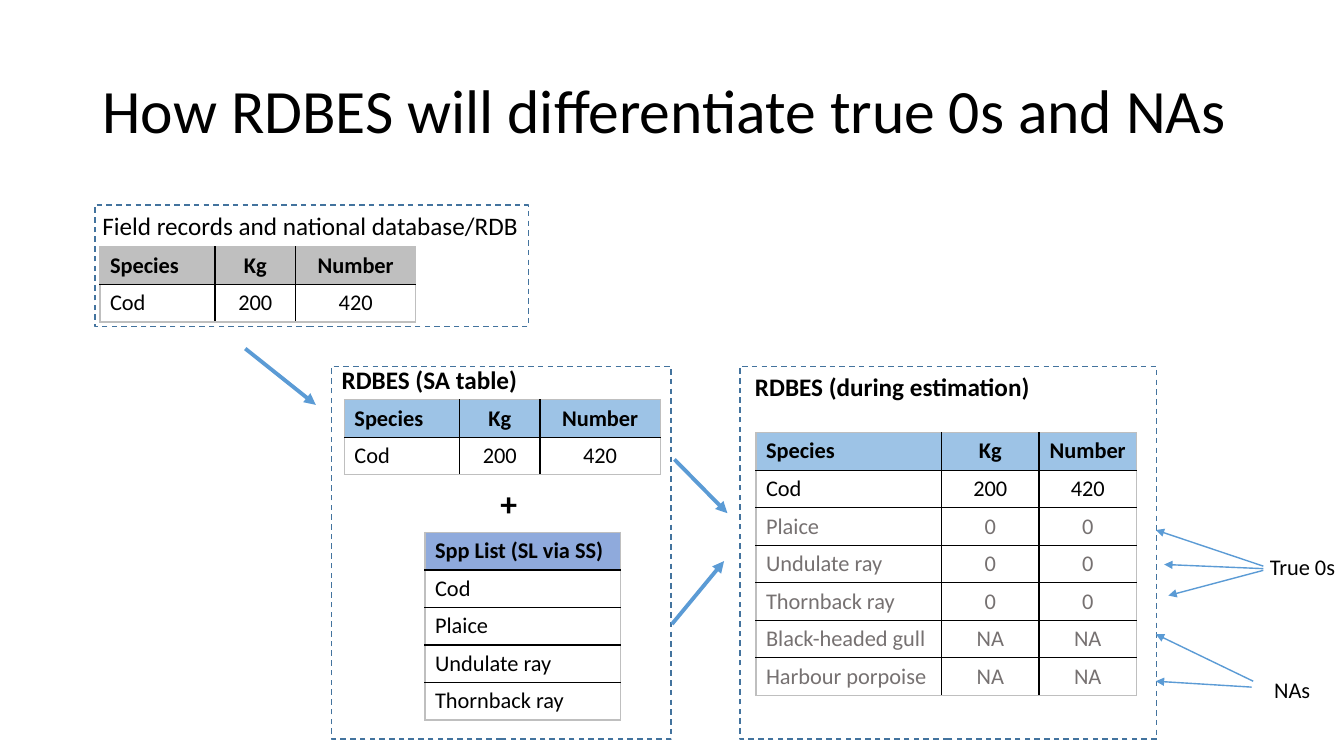
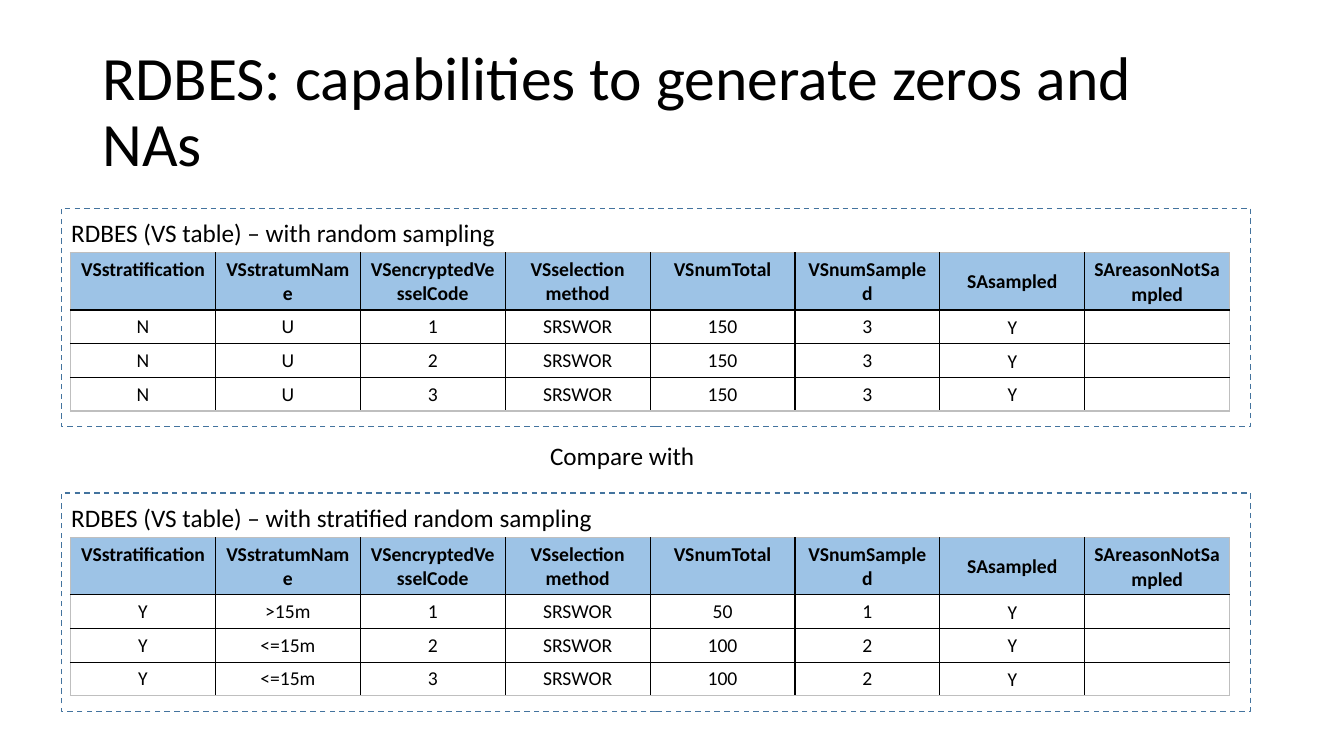
from pptx import Presentation
from pptx.dml.color import RGBColor
from pptx.enum.dml import MSO_LINE
from pptx.enum.shapes import MSO_CONNECTOR, MSO_SHAPE
from pptx.enum.text import MSO_ANCHOR, MSO_AUTO_SIZE, PP_ALIGN
from pptx.oxml.ns import qn
from pptx.util import Inches, Pt
from lxml.etree import SubElement

COLORS = {
    "text": "000000",
    "muted": "767171",
    "paper": "FFFFFF",
    "frame": "43739E",
    "arrow": "5B9BD5",
    "field": "BFBFBF",
    "database": "9DC3E6",
    "species": "8FAADC",
    "inner": "000000",
    "outer": "BFBFBF",
}
FONT = "Calibri"
COLUMNS, ROWS = 160, 90
GRID_STEP = Inches(1) / 12


def grid(*counts):
    return [round(count * GRID_STEP) for count in counts]


def color(name):
    return RGBColor.from_string(COLORS[name])


class DeckBuilder:
    def __init__(self):
        self.deck = Presentation()
        self.deck.slide_width, self.deck.slide_height = grid(COLUMNS, ROWS)
        self.page = None

    def style(self, paragraph, size, bold=False, ink="text", align=PP_ALIGN.LEFT):
        paragraph.alignment = align
        font = paragraph.font
        font.name, font.size, font.bold = FONT, Pt(size), bold
        font.color.rgb = color(ink)

    def add_page(self, text):
        self.page = self.deck.slides.add_slide(self.deck.slide_layouts[5])
        title = self.page.shapes.title
        title.left, title.top, title.width, title.height = grid(11, 4.8, 138, 17.4)
        frame = title.text_frame
        frame.text = text
        frame.word_wrap = True
        frame.auto_size = MSO_AUTO_SIZE.NONE
        frame.vertical_anchor = MSO_ANCHOR.MIDDLE
        paragraph = frame.paragraphs[0]
        paragraph.line_spacing = 0.9
        self.style(paragraph, 44)

    def label(self, text, area, size=18, bold=False, wrap=False):
        box = self.page.shapes.add_textbox(*grid(*area))
        frame = box.text_frame
        frame.text = text
        frame.word_wrap = wrap
        frame.auto_size = MSO_AUTO_SIZE.SHAPE_TO_FIT_TEXT
        self.style(frame.paragraphs[0], size, bold)

    def dashed_frame(self, area):
        box = self.page.shapes.add_shape(MSO_SHAPE.RECTANGLE, *grid(*area))
        box.shadow.inherit = False
        box.fill.background()
        box.line.color.rgb = color("frame")
        box.line.width = Pt(1)
        box.line.dash_style = MSO_LINE.DASH

    def arrow(self, start, end, width):
        connector = self.page.shapes.add_connector(
            MSO_CONNECTOR.STRAIGHT, *grid(*start, *end))
        connector.line.color.rgb = color("arrow")
        connector.line.width = Pt(width)
        properties = connector._element.spPr
        SubElement(properties.find(qn("a:ln")), qn("a:tailEnd"), type="triangle")
        SubElement(properties, qn("a:effectLst"))

    def borders(self, cell, outer_sides):
        properties = cell._tc.get_or_add_tcPr()
        for side in "LRTB":
            line = SubElement(properties, qn("a:ln" + side), w=str(Pt(1)))
            fill = SubElement(line, qn("a:solidFill"))
            name = "outer" if side in outer_sides else "inner"
            SubElement(fill, qn("a:srgbClr"), val=COLORS[name])

    def table(self, corner, widths, heights, rows, header, size=16,
              centered_from=1, muted_from=None, tight_from=None):
        area = (*corner, sum(widths), sum(heights))
        table = self.page.shapes.add_table(
            len(rows), len(widths), *grid(*area)).table
        table.horz_banding = False
        for column, width in zip(table.columns, grid(*widths)):
            column.width = width
        for row, height in zip(table.rows, grid(*heights)):
            row.height = height
        for r, values in enumerate(rows):
            for c, value in enumerate(values):
                cell = table.cell(r, c)
                edges = {"L": c == 0, "R": c == len(widths) - 1,
                         "T": r == 0, "B": r == len(rows) - 1}
                self.borders(cell, [side for side in edges if edges[side]])
                cell.fill.solid()
                cell.fill.fore_color.rgb = color("paper" if r else header)
                cell.text = value
                paragraph = cell.text_frame.paragraphs[0]
                if tight_from is not None and c >= tight_from:
                    cell.margin_left, cell.margin_right = grid(0.84, 0.84)
                    cell.margin_top = cell.margin_bottom = 0
                    cell.vertical_anchor = MSO_ANCHOR.MIDDLE
                    paragraph.line_spacing = 1.07
                muted = muted_from is not None and r >= muted_from
                align = PP_ALIGN.CENTER if c >= centered_from else PP_ALIGN.LEFT
                self.style(paragraph, size, r == 0,
                           "muted" if muted else "text", align)


def build_differentiation(builder):
    builder.add_page("How RDBES will differentiate true 0s and NAs")
    for area in ((11.3, 24.4, 51.6, 14.5),
                 (39.5, 43.6, 40.4, 44.4),
                 (88.1, 43.6, 49.6, 44.4)):
        builder.dashed_frame(area)

    catch = [("Species", "Kg", "Number"), ("Cod", "200", "420")]
    missing = [("Plaice", "0"), ("Undulate ray", "0"), ("Thornback ray", "0"),
               ("Black-headed gull", "NA"), ("Harbour porpoise", "NA")]
    estimated = catch + [(name, value, value) for name, value in missing]
    listed = [("Spp List (SL via SS)",), ("Cod",), ("Plaice",),
              ("Undulate ray",), ("Thornback ray",)]
    catch_widths = (13.7, 9.6, 14.3)
    for corner, widths, rows, header, muted_from in (
            ((11.9, 29.4), catch_widths, catch, "field", None),
            ((41, 47.6), catch_widths, catch, "database", None),
            ((50.6, 63.4), (23.3,), listed, "species", None),
            ((90, 51.5), (22.1, 11.6, 11.6), estimated, "database", 2)):
        builder.table(corner, widths, [4.4] * len(rows), rows, header,
                      muted_from=muted_from)

    builder.label("Field records and national database/RDB", (11, 24.4, 52.6, 4.8))
    builder.label("RDBES (SA table)", (39.5, 42.8, 23.5, 4.8), bold=True)
    builder.label("+", (58.4, 56.9, 4.4, 6), size=24, bold=True)
    builder.label("RDBES (during estimation)", (88.7, 43.6, 35.4, 4.8), bold=True)
    builder.label("True 0s", (150, 65.2, 10.3, 4.4), size=16)
    builder.label("NAs", (150.5, 79.9, 6.8, 4.4), size=16, wrap=True)

    flow_arrows = (((29.2, 41.5), (37.6, 48.2)),
                   ((80.3, 54.7), (86.6, 61.1)),
                   ((80, 74.3), (86.2, 66.8)))
    note_arrows = (((150.4, 67.4), (137.6, 63.1)),
                   ((150.4, 67.7), (138.6, 67.2)),
                   ((150.4, 67.9), (139.1, 70.9)),
                   ((149.2, 81.1), (137.6, 75.5)),
                   ((149, 81.8), (137.6, 81.1)))
    for arrows, width in ((flow_arrows, 2.75), (note_arrows, 1)):
        for start, end in arrows:
            builder.arrow(start, end, width)


def build_capabilities(builder):
    builder.add_page("RDBES: capabilities to generate zeros and NAs")
    headings = ("VSstratification", "VSstratumName", "VSencryptedVesselCode",
                "VSselection method", "VSnumTotal", "VSnumSampled",
                "SAsampled", "SAreasonNotSampled")
    random_strata = [("U", "150", "3")] * 3
    vessel_strata = [(">15m", "50", "1")] + [("<=15m", "100", "2")] * 2
    for top, method, stratified, strata in (
            (24.8, "random sampling", "N", random_strata),
            (58.7, "stratified random sampling", "Y", vessel_strata)):
        rows = [headings] + [
            (stratified, stratum, str(code), "SRSWOR", total, sampled, "Y", "")
            for code, (stratum, total, sampled) in enumerate(strata, 1)]
        builder.dashed_frame((7.3, top, 141.6, 26))
        builder.label(f"RDBES (VS table) – with {method}",
                      (7.3, top + 0.5, 71.4, 4.8), wrap=True)
        builder.table((8.4, top + 5.3), [17.25] * len(headings), [6.8, 4, 4, 4],
                      rows, "database", size=14, centered_from=0, tight_from=6)
    builder.label("Compare with", (64.3, 51.8, 19.8, 4.8))


def main():
    builder = DeckBuilder()
    build_differentiation(builder)
    build_capabilities(builder)
    builder.deck.save("out.pptx")


if __name__ == "__main__":
    main()
